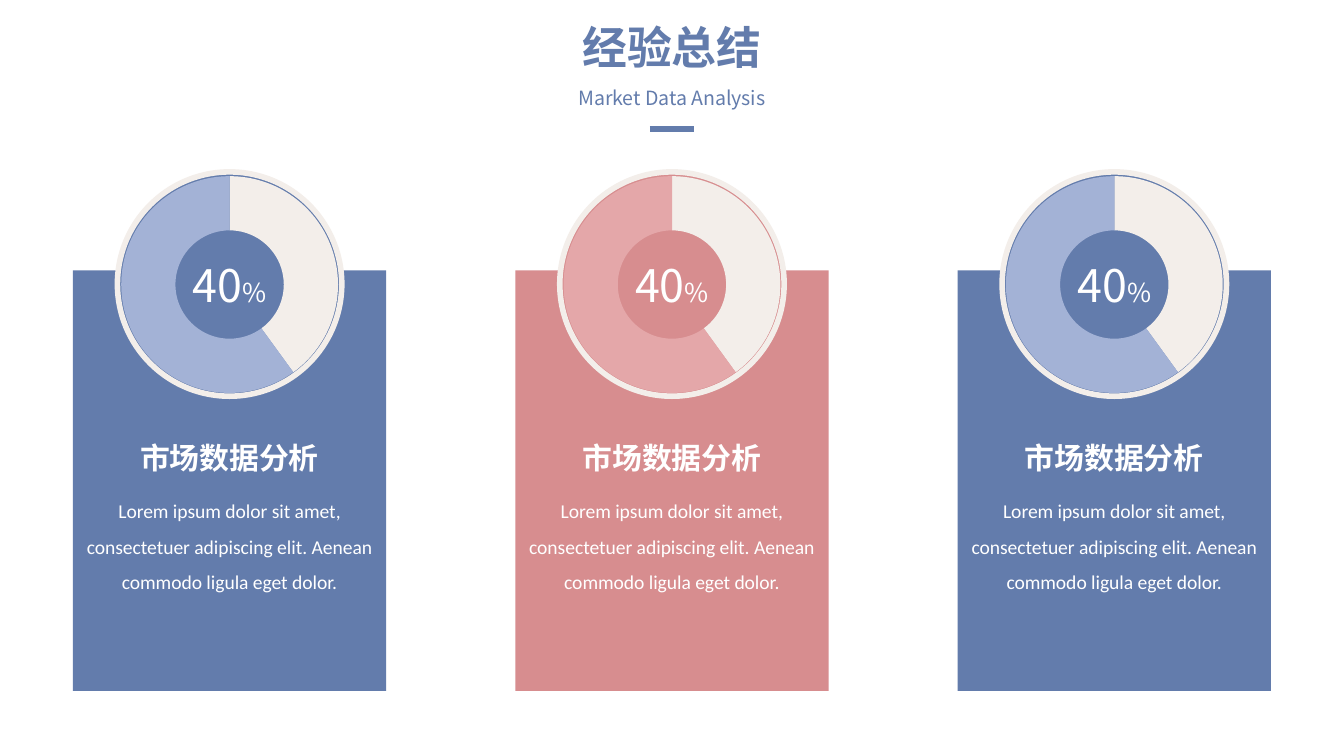
from dataclasses import dataclass

from lxml import etree
from pptx import Presentation
from pptx.chart.data import CategoryChartData
from pptx.dml.color import RGBColor
from pptx.enum.chart import XL_CHART_TYPE
from pptx.enum.shapes import MSO_CONNECTOR, MSO_SHAPE
from pptx.enum.text import MSO_AUTO_SIZE, PP_ALIGN
from pptx.oxml.ns import qn
from pptx.util import Cm, Pt

RECT = MSO_SHAPE.RECTANGLE
OVAL = MSO_SHAPE.OVAL
LINE = MSO_CONNECTOR.STRAIGHT
RING = XL_CHART_TYPE.DOUGHNUT
GROW = MSO_AUTO_SIZE.SHAPE_TO_FIT_TEXT
MID = PP_ALIGN.CENTER

SANS, BODY = "Noto Sans CJK SC", "Calibri"
BLUE, ROSE = "637CAC", "D78D8F"
PALE, WHITE = "F3EEEA", "FFFFFF"
AXIS, PITCH = 12.7, 8.36  # middle of the slide, step between cards
LOREM = ("Lorem ipsum dolor sit amet, consectetuer adipiscing elit. "
         "Aenean commodo ligula eget dolor.")


@dataclass
class Run:
    text: str
    size: float
    color: str = WHITE
    bold: bool = False
    font: str = SANS


@dataclass
class Box:
    """Place in cm, centred on the line x = mid."""
    mid: float
    top: float
    width: float
    height: float

    def place(self) -> tuple:
        return (Cm(self.mid - self.width / 2), Cm(self.top),
                Cm(self.width), Cm(self.height))


@dataclass
class Card:
    mid: float
    color: str
    tint: str


def rgb(code: str) -> RGBColor:
    return RGBColor.from_string(code)


def add_text(slide, box: Box, runs: list[Run], space: float = 1.0,
             wrap: bool = True) -> None:
    frame = slide.shapes.add_textbox(*box.place()).text_frame
    frame.word_wrap = wrap
    frame.auto_size = GROW
    para = frame.paragraphs[0]
    para.alignment = MID
    para.line_spacing = space
    for item in runs:
        run = para.add_run()
        run.text = item.text
        form = {"size": Pt(item.size), "bold": item.bold, "name": item.font}
        for key, value in form.items():
            setattr(run.font, key, value)
        run.font.color.rgb = rgb(item.color)
        # East Asian glyphs need their own typeface entry
        props = run.font._element
        etree.SubElement(props, qn("a:ea")).set("typeface", item.font)


def add_form(slide, kind, box: Box, fill: str, edge: str = "") -> None:
    shape = slide.shapes.add_shape(kind, *box.place())
    shape.shadow.inherit = False
    shape.fill.solid()
    shape.fill.fore_color.rgb = rgb(fill)
    if edge:
        shape.line.color.rgb = rgb(edge)
        shape.line.width = Pt(3)
    else:
        shape.line.fill.background()


def add_ring(slide, box: Box, tint: str) -> None:
    data = CategoryChartData()
    data.categories = ["1", "2"]
    data.add_series("Series 1", (40, 60))
    chart = slide.shapes.add_chart(RING, *box.place(), data).chart
    chart.has_legend = False
    chart.has_title = False
    chart.font.name = BODY
    chart.font.size = Pt(10)
    chart.font.color.rgb = rgb("595959")
    plot = chart.plots[0]
    plot.vary_by_categories = True
    for index, color in enumerate((PALE, tint)):
        form = plot.series[0].points[index].format
        form.fill.solid()
        form.fill.fore_color.rgb = rgb(color)
        form.line.fill.background()
    # Hole size and a fixed, centred plot area
    area = chart._chartSpace.chart.plotArea
    area.find(".//" + qn("c:holeSize")).set("val", "75")
    for old in area.findall(qn("c:layout")):
        area.remove(old)
    layout = etree.Element(qn("c:layout"))
    area.insert(0, layout)
    manual = etree.SubElement(layout, qn("c:manualLayout"))
    values = {"layoutTarget": "inner", "xMode": "edge", "yMode": "edge",
              "x": "0.215", "y": "0.07", "w": "0.57", "h": "0.86"}
    for key, value in values.items():
        etree.SubElement(manual, qn("c:" + key)).set("val", value)


def add_card(slide, card: Card) -> None:
    mid = card.mid
    add_form(slide, RECT, Box(mid, 5.11, 5.92, 7.95), card.color)
    add_form(slide, OVAL, Box(mid, 3.25, 4.24, 4.24), card.color, PALE)
    add_ring(slide, Box(mid, 2.99, 7.19, 4.78), card.tint)
    add_text(slide, Box(mid, 4.75, 1.9, 1.27),
             [Run("40", 24), Run("%", 14)], wrap=False)
    add_text(slide, Box(mid, 8.18, 4.02, 0.94),
             [Run("市场数据分析", 16, bold=True)])
    add_text(slide, Box(mid, 9.09, 5.94, 2.21),
             [Run(LOREM, 10.5, font=BODY)], space=1.5)


def add_head(slide) -> None:
    add_text(slide, Box(AXIS, 0.25, 5.64, 1.27),
             [Run("经验总结", 24, BLUE, True)])
    add_text(slide, Box(AXIS, 1.5, 4.95, 0.71),
             [Run("Market Data Analysis", 10.5, BLUE)])
    rule = slide.shapes.add_connector(
        LINE, Cm(AXIS - 0.42), Cm(2.44), Cm(AXIS + 0.42), Cm(2.44))
    rule.line.color.rgb = rgb(BLUE)
    rule.line.width = Pt(3)
    etree.SubElement(rule._element.spPr, qn("a:effectLst"))


def main() -> None:
    deck = Presentation()
    deck.slide_width, deck.slide_height = Cm(25.4), Cm(14.29)
    slide = deck.slides.add_slide(deck.slide_layouts[6])
    add_head(slide)
    # Three cards, evenly spaced around the middle
    looks = ((BLUE, "A3B2D6"), (ROSE, "E4A7A9"), (BLUE, "A3B2D6"))
    for step, (color, tint) in enumerate(looks, start=-1):
        add_card(slide, Card(AXIS + step * PITCH, color, tint))
    deck.save("out.pptx")


if __name__ == "__main__":
    main()
